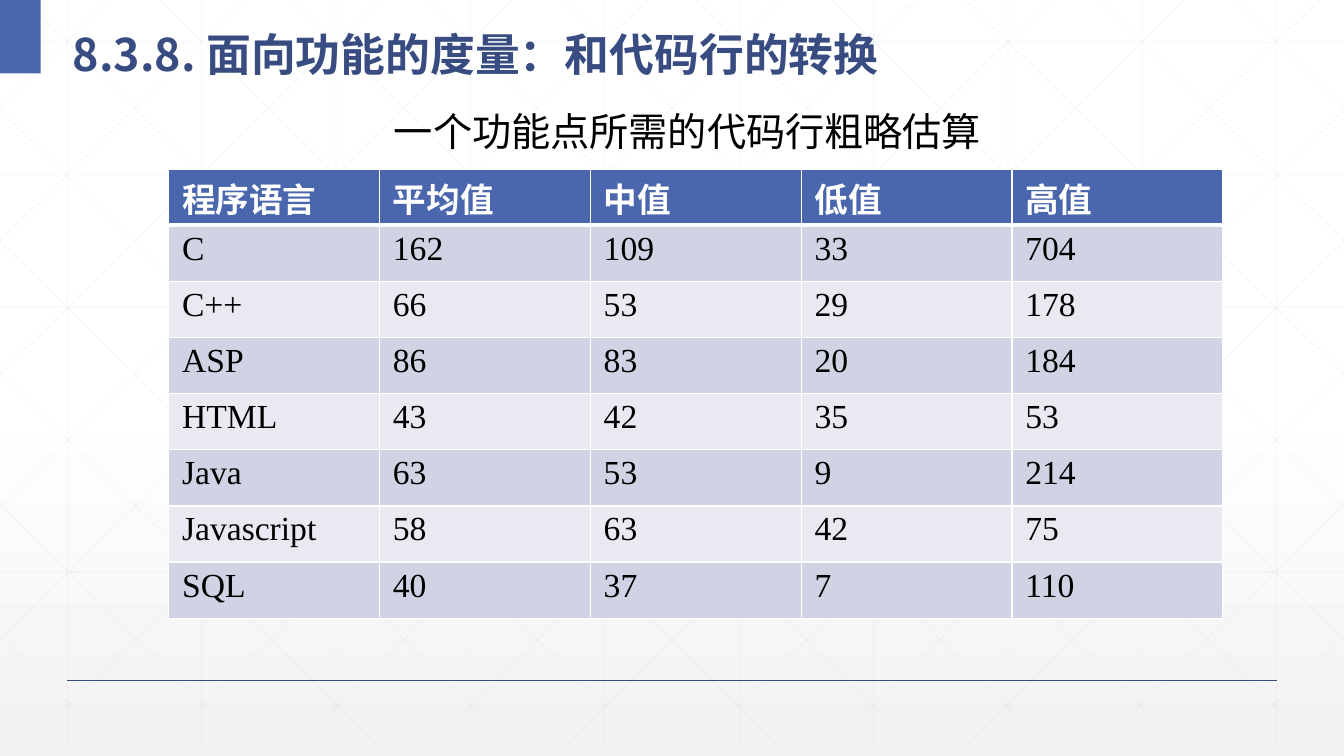
import lxml.etree
import pptx
import pptx.dml.color
import pptx.enum.shapes
import pptx.enum.text
import pptx.oxml.ns
import pptx.util

Pt = pptx.util.Pt
qn = pptx.oxml.ns.qn

WIDE, HIGH = 960, 540
FLOOR = 530.64
STEP = 96
SLOPE = 0.99
HAN = "Noto Sans CJK SC"
SERIF = "Times New Roman"
ROWS = [
    ("程序语言", "平均值", "中值", "低值", "高值"),
    ("C", "162", "109", "33", "704"),
    ("C++", "66", "53", "29", "178"),
    ("ASP", "86", "83", "20", "184"),
    ("HTML", "43", "42", "35", "53"),
    ("Java", "63", "53", "9", "214"),
    ("Javascript", "58", "63", "42", "75"),
    ("SQL", "40", "37", "7", "110"),
]


def color(code):
    return pptx.dml.color.RGBColor.from_string(code)


def add_node(owner, tag, **attrs):
    return lxml.etree.SubElement(owner, qn(tag), **attrs)


def add_line(slide, start, end, code, width, alpha=None):
    points = [Pt(n) for n in (*start, *end)]
    line = slide.shapes.add_connector(pptx.enum.shapes.MSO_CONNECTOR.STRAIGHT, *points)
    line.line.color.rgb = color(code)
    line.line.width = Pt(width)
    if alpha:
        tint = line.line._ln.find(".//" + qn("a:srgbClr"))
        add_node(tint, "a:alpha", val=str(alpha * 1000))
    add_node(line._element.spPr, "a:effectLst")


def add_grid(slide):
    lines = [((x, 0), (x, FLOOR)) for x in range(48, WIDE, STEP)]
    for row in range(6):
        y = 30 + 94.75 * row
        lines.append(((0, y), (WIDE, y)))
    slants = []
    for x in range(18, WIDE, STEP):
        drop = min(FLOOR, (WIDE - x) * SLOPE)
        slants.append(((x, 0), (x + drop / SLOPE, drop)))
    for row in range(5):
        slants.append(((0, 78.5 + 93.8 * row), (458.6 - 95.25 * row, FLOOR)))
    for start, end in slants:
        lines.append((start, end))
        lines.append(((WIDE - start[0], start[1]), (WIDE - end[0], end[1])))
    for start, end in lines:
        add_line(slide, start, end, "D9D9D9", 0.5, 25)


def style_text(frame, size, face, code, bold=False):
    for run in frame.paragraphs[0].runs:
        run.font.size = Pt(size)
        run.font.bold = bold
        run.font.color.rgb = color(code)
        run.font.name = face
        add_node(run._r.get_or_add_rPr(), "a:ea", typeface=HAN)


def add_text(slide, place, text, size, face, code, bold=False):
    box = slide.shapes.add_textbox(*[Pt(n) for n in place])
    frame = box.text_frame
    frame.text = text
    style_text(frame, size, face, code, bold)
    return frame


def add_edges(cell, top, base):
    props = cell._tc.get_or_add_tcPr()
    for side, width in (("L", 1), ("R", 1), ("T", top), ("B", base)):
        edge = add_node(props, "a:ln" + side, w=str(Pt(width)))
        fill = add_node(edge, "a:solidFill")
        add_node(fill, "a:srgbClr", val="FFFFFF")


def add_table(slide, rows, place):
    frame = slide.shapes.add_table(len(rows), len(rows[0]), *[Pt(n) for n in place])
    table = frame.table
    for y, row in enumerate(rows):
        head = y == 0
        shade = "4A66AC" if head else ("D0D3E3" if y % 2 else "E9EAF1")
        for x, text in enumerate(row):
            cell = table.cell(y, x)
            cell.margin_left = cell.margin_right = Pt(9.6)
            cell.margin_top = cell.margin_bottom = Pt(3.6)
            add_edges(cell, 3 if y == 1 else 1, 3 if head else 1)
            cell.fill.solid()
            cell.fill.fore_color.rgb = color(shade)
            cell.text_frame.text = text
            style_text(cell.text_frame, 24, SERIF, "FFFFFF" if head else "000000", head)


def set_back(slide):
    fill = slide.background.fill
    fill.gradient()
    fill.gradient_angle = 270
    for stop, spot, code in zip(fill.gradient_stops, (0.53, 1), ("FFFFFF", "F2F2F2")):
        stop.position = spot
        stop.color.rgb = color(code)


def add_block(slide, place, code):
    kind = pptx.enum.shapes.MSO_SHAPE.RECTANGLE
    block = slide.shapes.add_shape(kind, *[Pt(n) for n in place])
    block.shadow.inherit = False
    block.fill.solid()
    block.fill.fore_color.rgb = color(code)
    block.line.fill.background()


def main():
    deck = pptx.Presentation()
    deck.slide_width, deck.slide_height = Pt(WIDE), Pt(HIGH)
    slide = deck.slides.add_slide(deck.slide_layouts[6])
    set_back(slide)
    add_grid(slide)
    add_line(slide, (48, 486), (912, 486), "384C81", 1)
    add_block(slide, (0, 0, 29, 52.5), "4A66AC")
    title = add_text(slide, (45, 6, 732, 52.5), "8.3.8. 面向功能的度量：和代码行的转换", 32, HAN, "384C81", True)
    title.word_wrap = True
    title.vertical_anchor = pptx.enum.text.MSO_ANCHOR.MIDDLE
    title.paragraphs[0].line_spacing = 1.3
    add_table(slide, ROWS, (120.5, 120.7, 753, 321))
    label = add_text(slide, (274.3, 73.4, 438.5, 41), "一个功能点所需的代码行粗略估算", 28, SERIF, "000000")
    label.word_wrap = False
    label.auto_size = pptx.enum.text.MSO_AUTO_SIZE.SHAPE_TO_FIT_TEXT
    deck.save("out.pptx")


if __name__ == "__main__":
    main()
